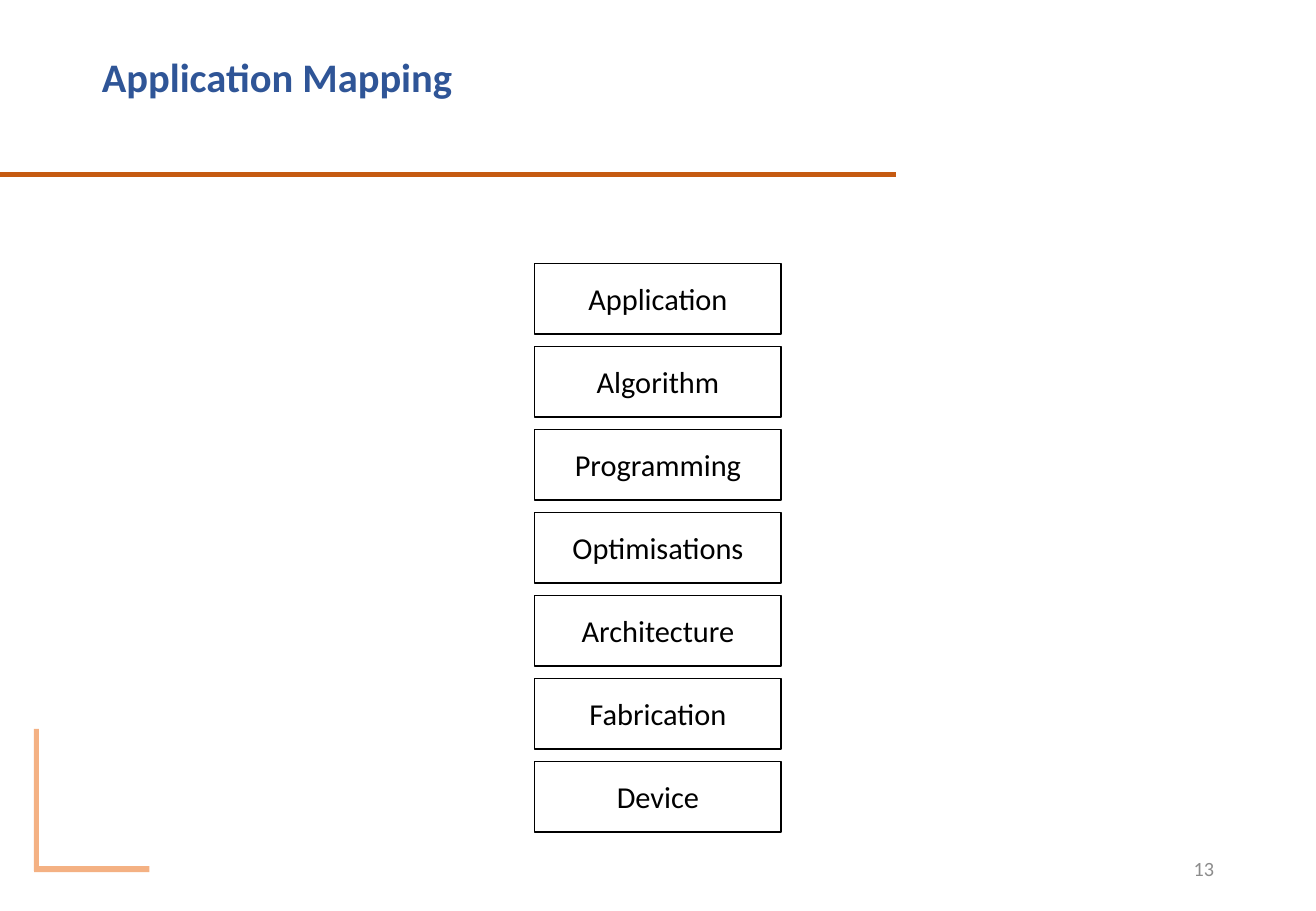
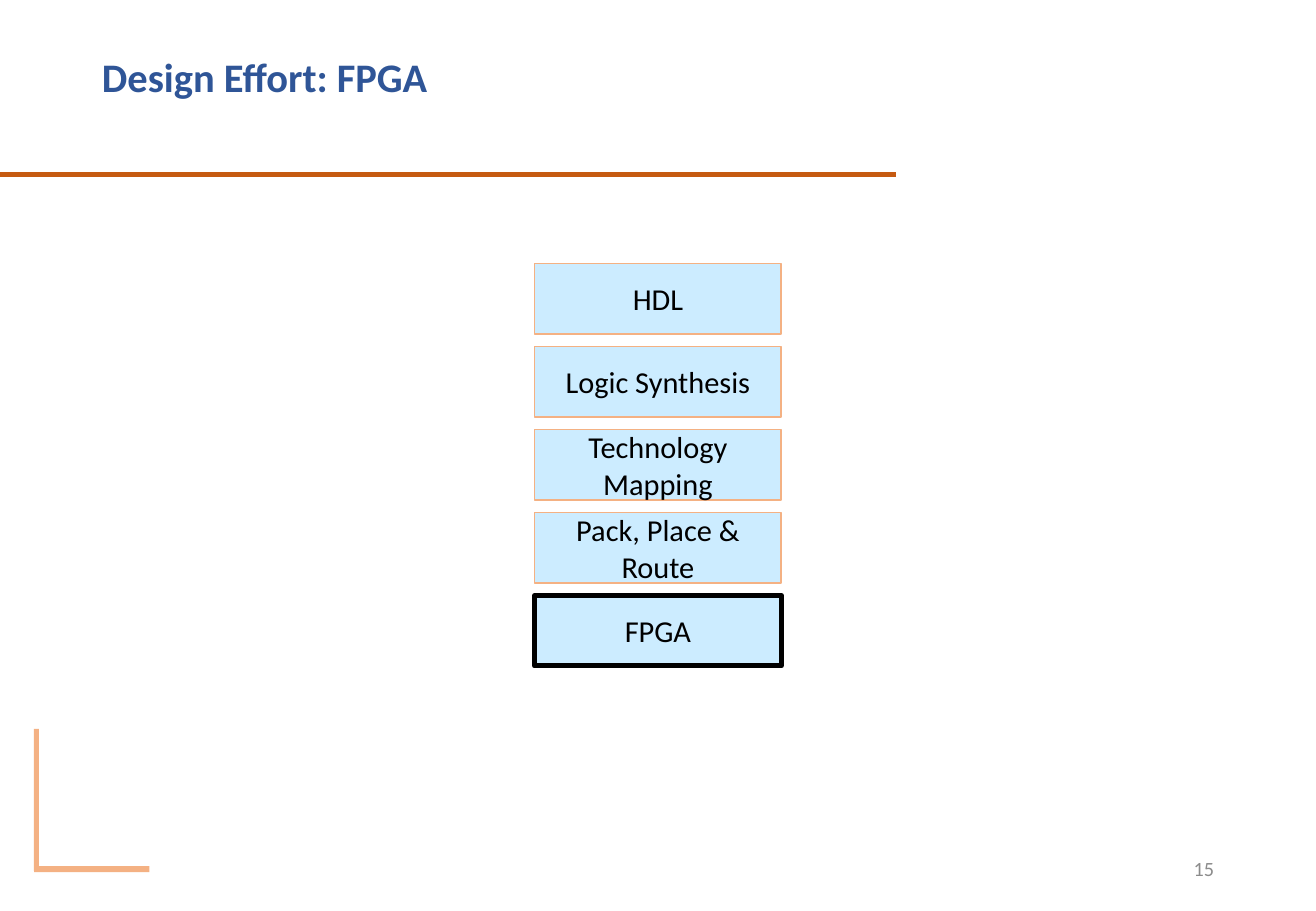
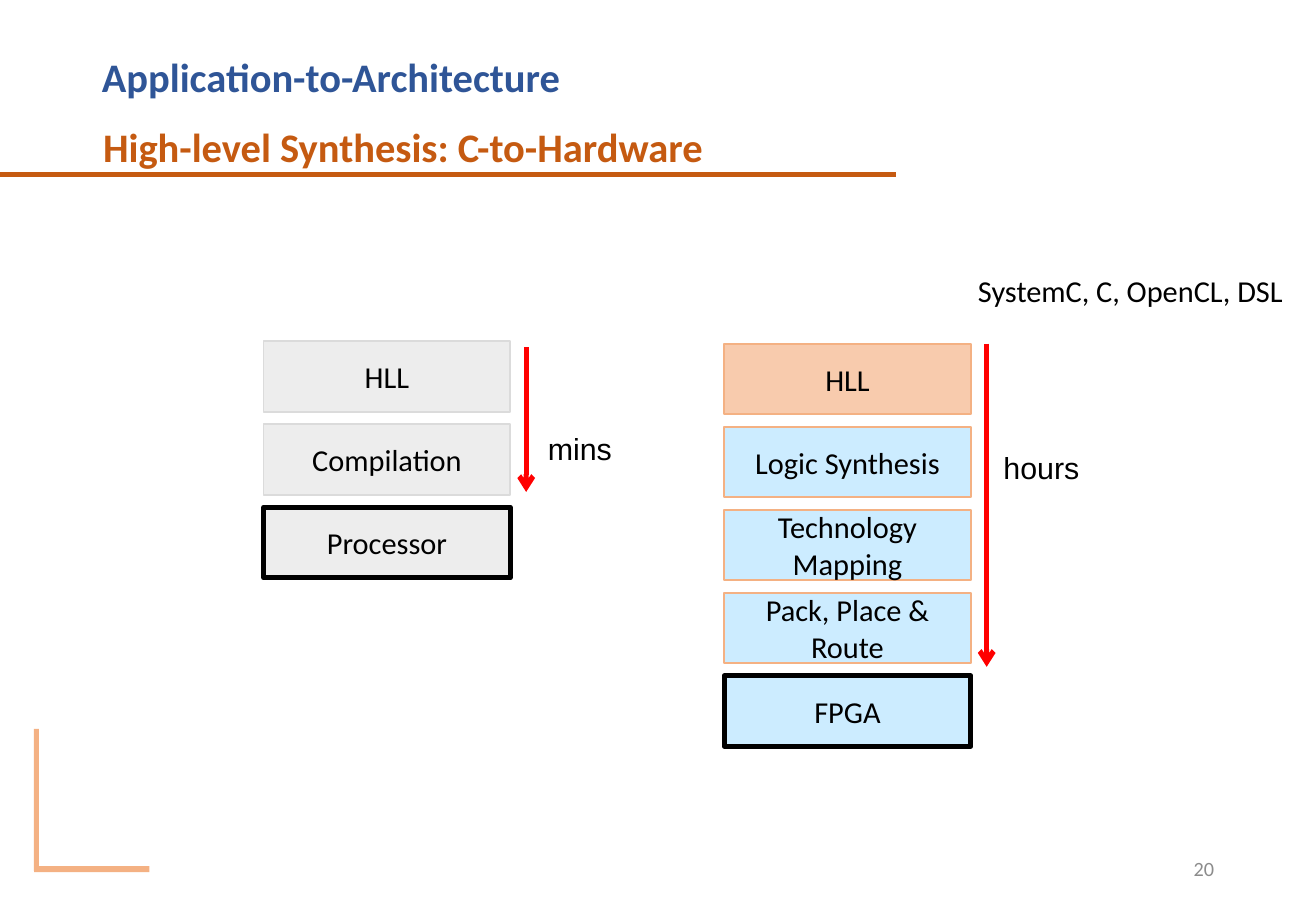
from dataclasses import dataclass

from lxml import etree
from pptx import Presentation
from pptx.dml.color import RGBColor
from pptx.enum.shapes import MSO_CONNECTOR, MSO_SHAPE
from pptx.enum.text import MSO_ANCHOR, PP_ALIGN
from pptx.oxml.ns import qn
from pptx.util import Pt

RECTANGLE, STRAIGHT = MSO_SHAPE.RECTANGLE, MSO_CONNECTOR.STRAIGHT
TOP, MIDDLE = MSO_ANCHOR.TOP, MSO_ANCHOR.MIDDLE
LEFT, CENTER, RIGHT = PP_ALIGN.LEFT, PP_ALIGN.CENTER, PP_ALIGN.RIGHT

EMU_PER_PX = 9144  # 100 px to the inch
PAGE_SIZE = (1083, 750)
BOX_WIDTH, BOX_HEIGHT, BOX_PITCH = 203, 58, 68.33


@dataclass(frozen=True)
class Theme:
    font: str = "Calibri"
    label_font: str = "Arial"
    title: str = "2F5597"
    accent: str = "C55A11"
    corner: str = "F4B183"
    ink: str = "000000"
    number: str = "8C8C8C"
    arrow: str = "FF0000"
    title_size: int = 24
    text_size: int = 18
    number_size: int = 12
    thin: int = 1
    thick: int = 3


THEME = Theme()

# Box styles: fill, line colour, line width
STYLES = {
    "plain": ("FFFFFF", THEME.ink, THEME.thin),
    "hardware": ("CCECFF", THEME.corner, THEME.thin),
    "hardware target": ("CCECFF", THEME.ink, THEME.thick),
    "high level": ("F8CBAD", THEME.corner, THEME.thin),
    "software": ("EDEDED", "DBDBDB", THEME.thin),
    "software target": ("EDEDED", THEME.ink, THEME.thick),
}

# Content
LAYERS = ["Application", "Algorithm", "Programming", "Optimisations",
          "Architecture", "Fabrication", "Device"]
FPGA_FLOW = [
    ("Logic Synthesis", "hardware"),
    ("Technology Mapping", "hardware"),
    ("Pack, Place & Route", "hardware"),
    ("FPGA", "hardware target"),
]
PROCESSOR_FLOW = [
    ("HLL", "software"),
    ("Compilation", "software"),
    ("Processor", "software target"),
]

# Stacks: left, top, boxes.  Arrows: x, top, bottom.
# Labels: text, left, top, width, font
PAGES = [
    {"title": "Application Mapping", "number": 13,
     "stacks": [(440, 217, [(layer, "plain") for layer in LAYERS])]},
    {"title": "Design Effort: FPGA", "number": 15,
     "stacks": [(440, 217, [("HDL", "hardware")] + FPGA_FLOW)]},
    {"title": "Application-to-Architecture", "number": 20,
     "subtitle": "High-level Synthesis: C-to-Hardware",
     "stacks": [(217, 281, PROCESSOR_FLOW),
                (596, 283, [("HLL", "high level")] + FPGA_FLOW)],
     "arrows": [(433, 286, 405), (812, 283, 549)],
     "labels": [("mins", 441, 349, 100, THEME.label_font),
                ("hours", 816, 365, 100, THEME.label_font),
                ("SystemC, C, OpenCL, DSL", 795, 219, 280, THEME.font)]},
]


def px(length):
    return round(length * EMU_PER_PX)


def write(shape, text, *, size=THEME.text_size, color=THEME.ink, font=THEME.font,
          bold=False, align=LEFT, anchor=TOP, spacing=1.0):
    frame = shape.text_frame
    frame.word_wrap = True
    frame.vertical_anchor = anchor
    para = frame.paragraphs[0]
    para.alignment = align
    para.line_spacing = spacing
    span = para.add_run()
    span.text = text
    span.font.size = Pt(size)
    span.font.name = font
    span.font.bold = bold
    span.font.color.rgb = RGBColor.from_string(color)


def add_text(page, area, text, **style):
    write(page.shapes.add_textbox(*map(px, area)), text, **style)


def add_box(page, area, fill, line=None, width=0):
    box = page.shapes.add_shape(RECTANGLE, *map(px, area))
    box.shadow.inherit = False
    box.fill.solid()
    box.fill.fore_color.rgb = RGBColor.from_string(fill)
    if line:
        box.line.color.rgb = RGBColor.from_string(line)
        box.line.width = Pt(width)
    else:
        box.line.fill.background()
    return box


def add_line(page, ends, color, arrow=False):
    line = page.shapes.add_connector(STRAIGHT, *map(px, ends))
    line.line.color.rgb = RGBColor.from_string(color)
    line.line.width = Pt(THEME.thick)
    if arrow:
        etree.SubElement(line.line._get_or_add_ln(), qn("a:tailEnd"), type="arrow")
    etree.SubElement(line._element.spPr, qn("a:effectLst"))


def add_frame(page, title, number):
    # Corner mark, title rule, title and page number
    add_box(page, (28, 713, 95, 5), THEME.corner)
    add_box(page, (28, 600, 4, 117), THEME.corner)
    add_line(page, (0, 144, 737, 144), THEME.accent)
    add_text(page, (74, 34, 738, 62), title, size=THEME.title_size,
             color=THEME.title, bold=True, anchor=MIDDLE, spacing=0.9)
    add_text(page, (765, 695, 244, 40), str(number), size=THEME.number_size,
             color=THEME.number, align=RIGHT, anchor=MIDDLE)


def add_stack(page, left, top, boxes):
    for row, (text, style) in enumerate(boxes):
        area = (left, top + row * BOX_PITCH, BOX_WIDTH, BOX_HEIGHT)
        write(add_box(page, area, *STYLES[style]), text, align=CENTER, anchor=MIDDLE)


def main():
    deck = Presentation()
    deck.slide_width, deck.slide_height = map(px, PAGE_SIZE)
    for content in PAGES:
        page = deck.slides.add_slide(deck.slide_layouts[6])
        add_frame(page, content["title"], content["number"])
        if "subtitle" in content:
            add_text(page, (75, 100, 597, 64), content["subtitle"],
                     size=THEME.title_size, color=THEME.accent, bold=True, spacing=0.9)
        for stack in content["stacks"]:
            add_stack(page, *stack)
        for x, top, bottom in content.get("arrows", []):
            add_line(page, (x, top, x, bottom), THEME.arrow, arrow=True)
        for text, left, top, width, font in content.get("labels", []):
            add_text(page, (left, top, width, 40), text, font=font)
    deck.save("out.pptx")


if __name__ == "__main__":
    main()
